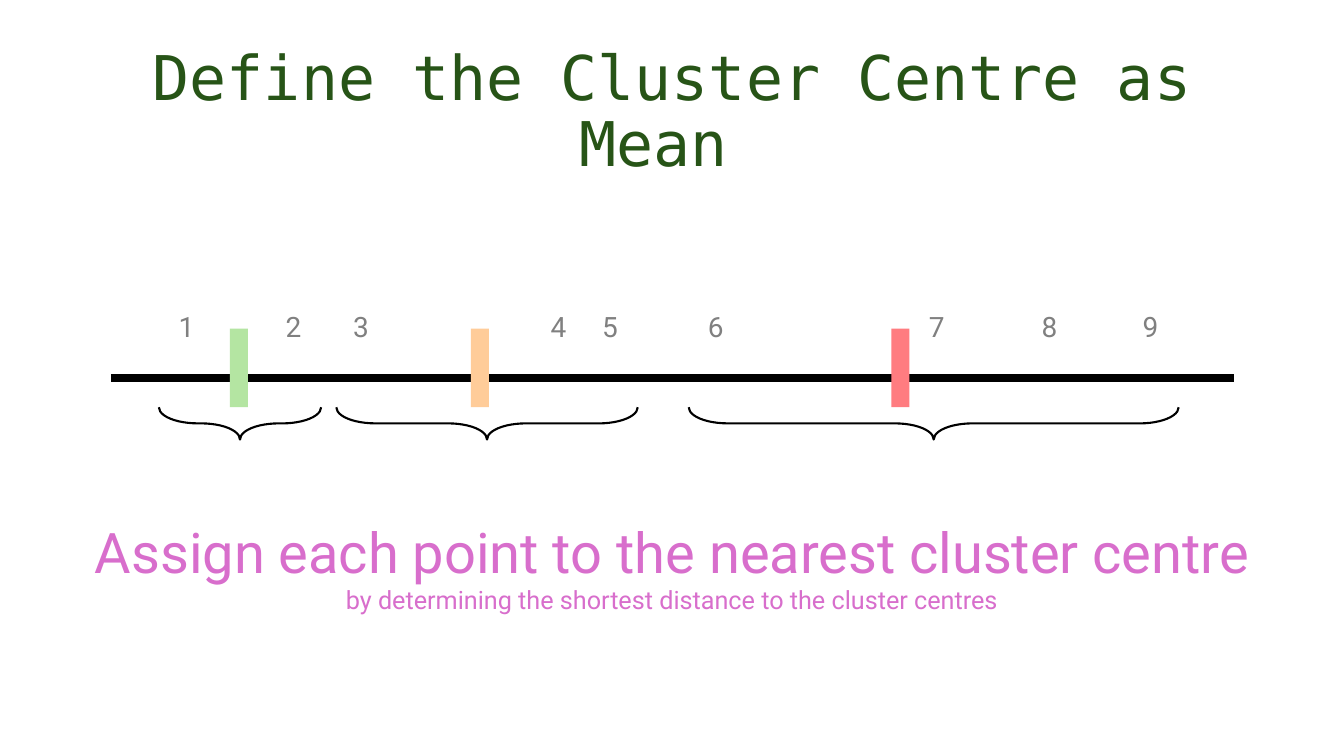
from lxml.etree import SubElement
from pptx import Presentation
from pptx.dml.color import RGBColor
from pptx.enum.shapes import MSO_CONNECTOR, MSO_SHAPE
from pptx.enum.text import MSO_ANCHOR, PP_ALIGN
from pptx.oxml.ns import qn
from pptx.util import Inches, Pt

POINTS = {"1": 1.85, "2": 2.91, "3": 3.58, "4": 5.54, "5": 6.05,
          "6": 7.1, "7": 9.29, "8": 10.41, "9": 11.41}
CENTRES = [(2.37, "B4E5A2"), (4.76, "FFCC99"), (8.93, "FF7C80")]
CLUSTERS = [(2.38, 1.61), (4.83, 2.99), (9.26, 4.86)]


def colour(value):
    return RGBColor.from_string(value)


def add_text(slide, box, lines, font, hex_colour, anchor=MSO_ANCHOR.TOP, spacing=1.0):
    frame = slide.shapes.add_textbox(*map(Inches, box)).text_frame
    frame.word_wrap = True
    frame.vertical_anchor = anchor
    for index, (wording, size) in enumerate(lines):
        paragraph = frame.add_paragraph() if index else frame.paragraphs[0]
        paragraph.alignment = PP_ALIGN.CENTER
        paragraph.line_spacing = spacing
        run = paragraph.add_run()
        run.text = wording
        run.font.color.rgb = colour(hex_colour)
        for name, value in {"name": font, "size": Pt(size)}.items():
            setattr(run.font, name, value)


def add_axis(slide, left, top, width):
    axis = slide.shapes.add_connector(
        MSO_CONNECTOR.STRAIGHT, Inches(left), Inches(top), Inches(left + width), Inches(top))
    axis.line.color.rgb = colour("000000")
    axis.line.width = Pt(6)
    SubElement(axis._element.spPr, qn("a:effectLst"))


def add_centre(slide, middle, top, fill):
    width, height = 0.18, 0.78
    centre = slide.shapes.add_shape(
        MSO_SHAPE.RECTANGLE, Inches(middle - width / 2), Inches(top), Inches(width), Inches(height))
    centre.shadow.inherit = False
    centre.fill.solid()
    centre.fill.fore_color.rgb = colour(fill)
    centre.line.fill.background()


def add_brace(slide, middle, top, span):
    depth = 0.32
    brace = slide.shapes.add_shape(
        MSO_SHAPE.RIGHT_BRACE, Inches(middle - depth / 2), Inches(top + depth / 2 - span / 2),
        Inches(depth), Inches(span))
    brace.rotation = 90
    brace.adjustments[0] = 1.208
    brace.shadow.inherit = False
    brace.fill.background()
    brace.line.color.rgb = colour("000000")
    brace.line.width = Pt(1.5)


def add_number_line(slide, left, top, width):
    add_axis(slide, left, top + 0.73, width)
    for number, middle in POINTS.items():
        add_text(slide, (middle - 0.275, top, 0.55, 0.44), [(number, 20)], "Roboto", "808080")
    for middle, fill in CENTRES:
        add_centre(slide, middle, top + 0.24, fill)
    for middle, span in CLUSTERS:
        add_brace(slide, middle, top + 1.02, span)


def build_cluster_slide(deck):
    slide = deck.slides.add_slide(deck.slide_layouts[6])
    add_text(slide, (0.92, 0.4, 11.5, 1.45), [("Define the Cluster Centre as Mean ", 44)],
             "DejaVu Sans Mono", "275417", MSO_ANCHOR.MIDDLE, 0.9)
    add_number_line(slide, 1.1, 3.02, 11.14)
    add_text(slide, (0.59, 5.08, 12.15, 1.08),
             [("Assign each point to the nearest cluster centre", 40),
              ("by determining the shortest distance to the cluster centres", 18)],
             "Roboto", "D86ECC")


def main():
    deck = Presentation()
    deck.slide_width = Inches(13.33)
    deck.slide_height = Inches(7.5)
    build_cluster_slide(deck)
    deck.save("out.pptx")


if __name__ == "__main__":
    main()
